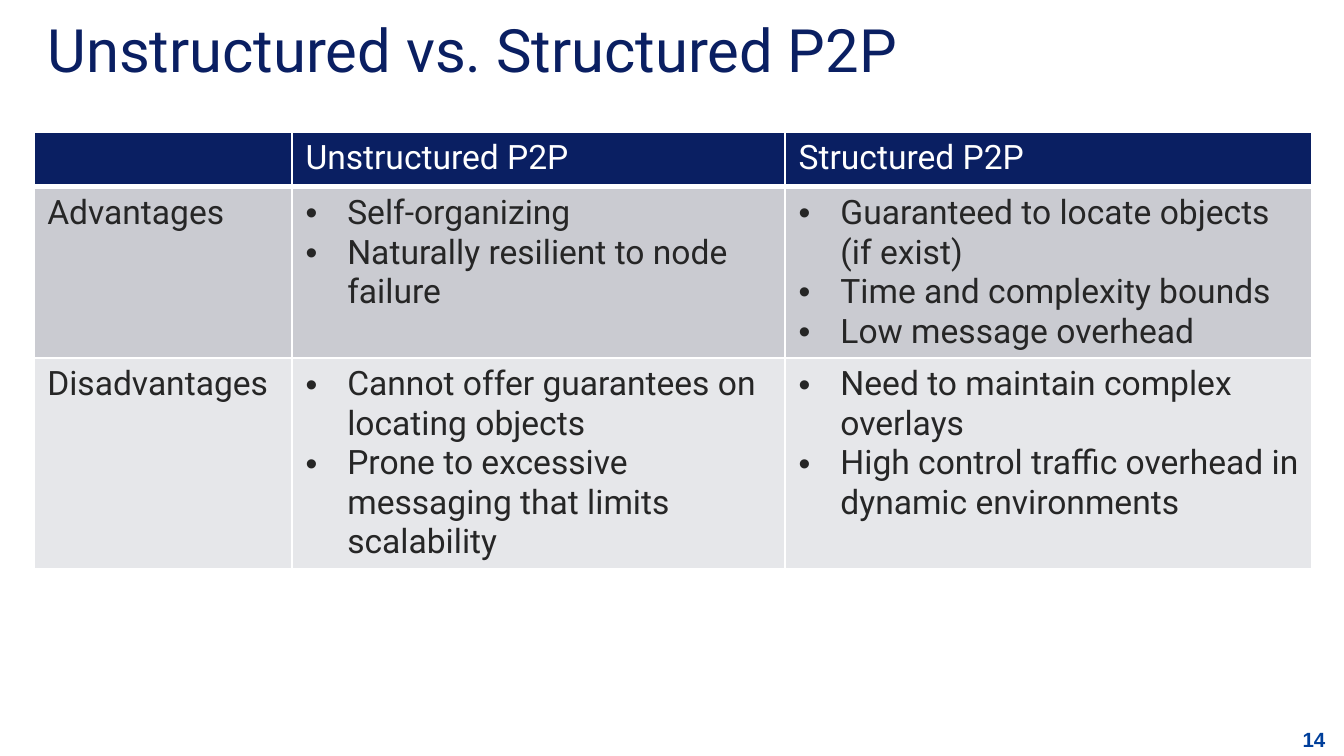
from dataclasses import dataclass

from lxml.etree import SubElement
from pptx import Presentation
from pptx.dml.color import RGBColor
from pptx.enum.text import MSO_ANCHOR, MSO_AUTO_SIZE, PP_ALIGN
from pptx.oxml.ns import qn
from pptx.util import Cm, Pt

NAVY, WHITE, INK, PAGE_BLUE = "0A1F62", "FFFFFF", "262626", "003F9B"
COLUMN_WIDTHS = (4.88, 9.32, 9.96)
INDENT = Cm(0.79)


@dataclass
class ComparisonRow:
    label: str
    unstructured: list[str]
    structured: list[str]
    height: float
    fill: str
    color: str = INK
    bulleted: bool = True
    top_border: float = 1
    bottom_border: float = 1


ROWS = [
    ComparisonRow("", ["Unstructured P2P"], ["Structured P2P"], 1.04, NAVY,
                  color=WHITE, bulleted=False, bottom_border=3),
    ComparisonRow("Advantages",
                  ["Self-organizing", "Naturally resilient to node failure"],
                  ["Guaranteed to locate objects (if exist)",
                   "Time and complexity bounds", "Low message overhead"],
                  3.22, "CACBD1", top_border=3),
    ComparisonRow("Disadvantages",
                  ["Cannot offer guarantees on locating objects",
                   "Prone to excessive messaging that limits scalability"],
                  ["Need to maintain complex overlays",
                   "High control traffic overhead in dynamic environments"],
                  3.97, "E6E7EA"),
]


def rgb(color: str) -> RGBColor:
    return RGBColor.from_string(color)


def set_font(paragraph, size: float, color: str, name: str = "Roboto", bold: bool = False) -> None:
    font = paragraph.font
    font.name, font.size, font.bold = name, Pt(size), bold
    font.color.rgb = rgb(color)


def add_bullet(paragraph) -> None:
    # Bullet elements come before the paragraph's default font
    properties = paragraph._p.get_or_add_pPr()
    properties.set("marL", str(INDENT))
    properties.set("indent", str(-INDENT))
    SubElement(properties, qn("a:buFont"), typeface="Arial")
    SubElement(properties, qn("a:buChar"), char="•")


def set_borders(cell, row: ComparisonRow) -> None:
    properties = cell._tc.get_or_add_tcPr()
    widths = {"L": 1, "R": 1, "T": row.top_border, "B": row.bottom_border}
    for side, width in widths.items():
        line = SubElement(properties, qn(f"a:ln{side}"), w=str(Pt(width)))
        SubElement(SubElement(line, qn("a:solidFill")), qn("a:srgbClr"), val=WHITE)


def fill_cell(cell, items: list[str], row: ComparisonRow, bulleted: bool) -> None:
    set_borders(cell, row)
    cell.fill.solid()
    cell.fill.fore_color.rgb = rgb(row.fill)
    cell.text = "\n".join(items)
    for paragraph in cell.text_frame.paragraphs:
        if bulleted:
            add_bullet(paragraph)
        set_font(paragraph, 18, row.color)


def add_comparison(slide) -> None:
    table = slide.shapes.add_table(
        len(ROWS), len(COLUMN_WIDTHS), Cm(0.64), Cm(2.49),
        Cm(sum(COLUMN_WIDTHS)), Cm(sum(row.height for row in ROWS))).table
    for column, width in zip(table.columns, COLUMN_WIDTHS):
        column.width = Cm(width)
    for index, row in enumerate(ROWS):
        table.rows[index].height = Cm(row.height)
        for column, items in enumerate(([row.label], row.unstructured, row.structured)):
            fill_cell(table.cell(index, column), items, row, row.bulleted and column > 0)


def add_title(slide) -> None:
    title = slide.shapes.title
    title.left, title.top, title.width, title.height = Cm(0.64), Cm(0.15), Cm(18.42), Cm(1.52)
    frame = title.text_frame
    frame.text = "Unstructured vs. Structured P2P"
    frame.auto_size = MSO_AUTO_SIZE.NONE
    frame.vertical_anchor = MSO_ANCHOR.MIDDLE
    frame.paragraphs[0].alignment = PP_ALIGN.LEFT
    set_font(frame.paragraphs[0], 32, NAVY)


def add_page_number(slide) -> None:
    frame = slide.shapes.add_textbox(Cm(23.6), Cm(13.61), Cm(1.7), Cm(0.74)).text_frame
    frame.word_wrap = True
    frame.text = "14"
    frame.paragraphs[0].alignment = PP_ALIGN.RIGHT
    set_font(frame.paragraphs[0], 11, PAGE_BLUE, name="Arial", bold=True)


def main() -> None:
    presentation = Presentation()
    presentation.slide_width, presentation.slide_height = Cm(25.4), Cm(14.28)
    slide = presentation.slides.add_slide(presentation.slide_layouts[5])
    add_title(slide)
    add_comparison(slide)
    add_page_number(slide)
    presentation.save("out.pptx")


if __name__ == "__main__":
    main()
